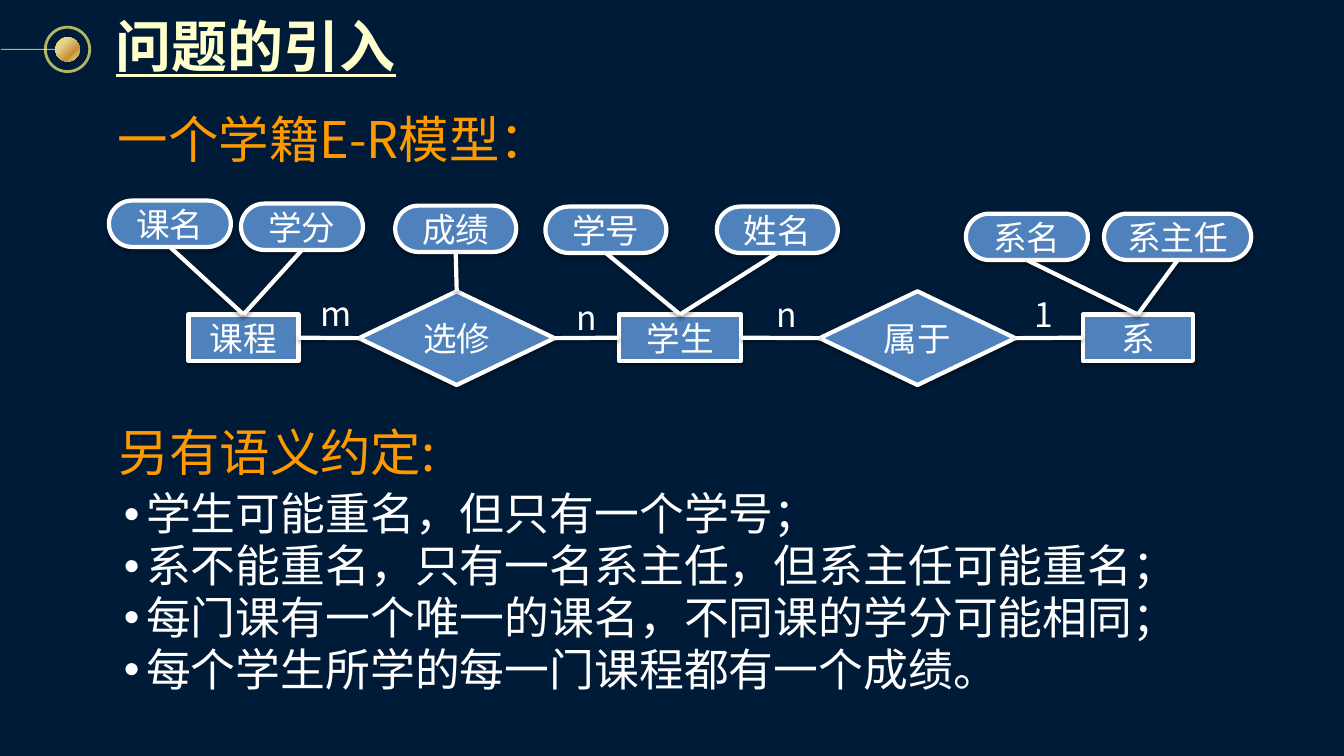
from lxml import etree
from pptx import Presentation, util as u
from pptx.dml.color import RGBColor
from pptx.enum import shapes, text
from pptx.oxml import parse_xml
from pptx.oxml.ns import qn

PX = 9144
NS = 'xmlns:a="http://schemas.openxmlformats.org/drawingml/2006/main"'
COLORS = {"back": "001B37", "ring": "FCF873", "title": "FFFFCC", "head": "FF9900",
          "node": "4F81BD", "white": "FFFFFF", "black": "000000"}
GOLD = [(0, "FCD860"), (31, "E6D38F"), (68, "C69135"), (100, "F1DF97")]
CJK = "Noto Sans CJK SC"
KINDS = shapes.MSO_SHAPE
TOP, LEFT, BOTTOM, RIGHT = range(4)


def rgb(name):
    return RGBColor.from_string(COLORS[name])


def glow(blur, dist, angle, alpha):
    return parse_xml(
        f'<a:effectLst {NS}><a:outerShdw blurRad="{u.Pt(blur)}" dist="{u.Pt(dist)}" '
        f'dir="{angle * 60000}" rotWithShape="0"><a:srgbClr val="{COLORS["black"]}">'
        f'<a:alpha val="{alpha * 1000}"/></a:srgbClr></a:outerShdw></a:effectLst>')


class Page:
    def __init__(self, deck):
        self.slide = deck.slides.add_slide(deck.slide_layouts[6])
        self.items = self.slide.shapes
        fill = self.slide.background.fill
        fill.solid()
        fill.fore_color.rgb = rgb("back")

    def style(self, par, size, color, font=CJK):
        for run in par.runs:
            run.font.size = u.Pt(size)
            run.font.name = font
            run.font.color.rgb = rgb(color)
            etree.SubElement(run.font._element, qn("a:ea")).set("typeface", CJK)

    def pen(self, line, color, width, alpha=100):
        line.color.rgb = rgb(color)
        line.width = u.Pt(width)
        if alpha < 100:
            clr = line._ln.find(".//" + qn("a:srgbClr"))
            etree.SubElement(clr, qn("a:alpha")).set("val", str(alpha * 1000))

    def frame(self, shape, words, inset, wrap):
        frame = shape.text_frame
        frame.text = words
        frame.word_wrap = wrap
        frame.vertical_anchor = text.MSO_ANCHOR.MIDDLE
        frame.margin_left = frame.margin_right = inset[0] * PX
        frame.margin_top = frame.margin_bottom = inset[1] * PX
        return frame

    def box(self, words, at, size, color, inset=(10, 5), wrap=True, font=CJK):
        shape = self.items.add_textbox(*[v * PX for v in at])
        frame = self.frame(shape, words, inset, wrap)
        for par in frame.paragraphs:
            self.style(par, size, color, font)
        return frame

    def title(self, words, at):
        frame = self.box(words, at, 40, "title", (8, 8), False, "Arial")
        font = frame.paragraphs[0].runs[0].font
        font.bold = font.underline = True
        font._element.find(qn("a:solidFill")).addnext(glow(2, 3, 45, 100))

    def label(self, words, x, y):
        frame = self.box(words, (x, y, 121, 46), 24, "white", (0, 0), False)
        frame.paragraphs[0].alignment = text.PP_ALIGN.CENTER

    def bullets(self, lines, at):
        frame = self.box("\n".join(lines), at, 32, "white", (0, 0))
        frame.vertical_anchor = text.MSO_ANCHOR.TOP
        for par in frame.paragraphs:
            par.line_spacing = 0.91
            par.space_after = u.Pt(2)
            props = par._p.get_or_add_pPr()
            props.set("marL", str(22 * PX))
            props.set("indent", str(-22 * PX))
            etree.SubElement(props, qn("a:buFont")).set("typeface", "Arial")
            etree.SubElement(props, qn("a:buChar")).set("char", "•")

    def node(self, kind, words, *at):
        shape = self.items.add_shape(kind, *[v * PX for v in at])
        if kind == KINDS.ROUNDED_RECTANGLE:
            shape.adjustments[0] = 0.5
        shape.fill.solid()
        shape.fill.fore_color.rgb = rgb("node")
        self.pen(shape.line, "white", 3)
        shape._element.spPr.append(glow(3.1, 1.6, 90, 38))
        par = self.frame(shape, words, (0, 0), False).paragraphs[0]
        par.alignment = text.PP_ALIGN.CENTER
        self.style(par, 24, "white")
        return shape

    def line(self, *ends):
        return self.items.add_connector(shapes.MSO_CONNECTOR.STRAIGHT, *[v * PX for v in ends])

    def link(self, start, out, end, into):
        line = self.line(0, 0, 0, 0)
        line.begin_connect(start, out)
        line.end_connect(end, into)
        self.pen(line.line, "white", 3)
        line._element.spPr.append(glow(3.1, 1.6, 90, 38))

    def disc(self, x, y, side):
        shape = self.items.add_shape(KINDS.OVAL, *[v * PX for v in (x, y, side, side)])
        shape.rotation = 270
        shape.shadow.inherit = False
        return shape

    def badge(self):
        ring = self.disc(45, 27, 44)
        ring.fill.background()
        self.pen(ring.line, "ring", 2, 70)
        line = self.line(1, 49, 55, 49)
        self.pen(line.line, "ring", 0.75, 70)
        etree.SubElement(line._element.spPr, qn("a:effectLst"))
        ball = self.disc(55, 37, 24)
        ball.line.fill.background()
        stops = "".join(f'<a:gs pos="{pos * 1000}"><a:srgbClr val="{c}"/></a:gs>' for pos, c in GOLD)
        grad = parse_xml(f'<a:gradFill {NS} rotWithShape="1"><a:gsLst>{stops}</a:gsLst>'
                         f'<a:lin ang="{135 * 60000}" scaled="1"/></a:gradFill>')
        ball._element.spPr.find(qn("a:prstGeom")).addnext(grad)


def main():
    deck = Presentation()
    deck.slide_width, deck.slide_height = 1333 * PX, 750 * PX
    page = Page(deck)
    page.badge()
    page.title("问题的引入", (107, 3, 296, 83))
    page.box("一个学籍E-R模型：", (107, 102, 517, 71), 36, "head")
    page.box("另有语义约定:", (108, 412, 330, 71), 36, "head")
    page.bullets(["学生可能重名，但只有一个学号；",
                  "系不能重名，只有一名系主任，但系主任可能重名；",
                  "每门课有一个唯一的课名，不同课的学分可能相同；",
                  "每个学生所学的每一门课程都有一个成绩。"], (123, 488, 1134, 50))

    chain = [page.node(kind, words, x, y, w, h) for kind, words, x, y, w, h in [
        (KINDS.RECTANGLE, "课程", 187, 312, 109, 46),
        (KINDS.DIAMOND, "选修", 356, 289, 194, 93),
        (KINDS.RECTANGLE, "学生", 614, 312, 121, 46),
        (KINDS.DIAMOND, "属于", 813, 289, 194, 93),
        (KINDS.RECTANGLE, "系", 1074, 312, 109, 46)]]
    for start, end in zip(chain, chain[1:]):
        page.link(start, RIGHT, end, LEFT)

    for words, x, y, w, owner in [
            ("课名", 108, 199, 121, 0), ("学分", 239, 202, 121, 0),
            ("成绩", 392, 204, 120, 1),
            ("学号", 541, 205, 120, 2), ("姓名", 711, 205, 120, 2),
            ("系名", 958, 212, 121, 4), ("系主任", 1095, 212, 146, 4)]:
        pill = page.node(KINDS.ROUNDED_RECTANGLE, words, x, y, w, 46)
        page.link(pill, BOTTOM, chain[owner], TOP)

    for words, x, y in [("m", 273, 288), ("n", 521, 292), ("n", 720, 289), ("1", 975, 289)]:
        page.label(words, x, y)
    deck.save("out.pptx")


if __name__ == "__main__":
    main()
